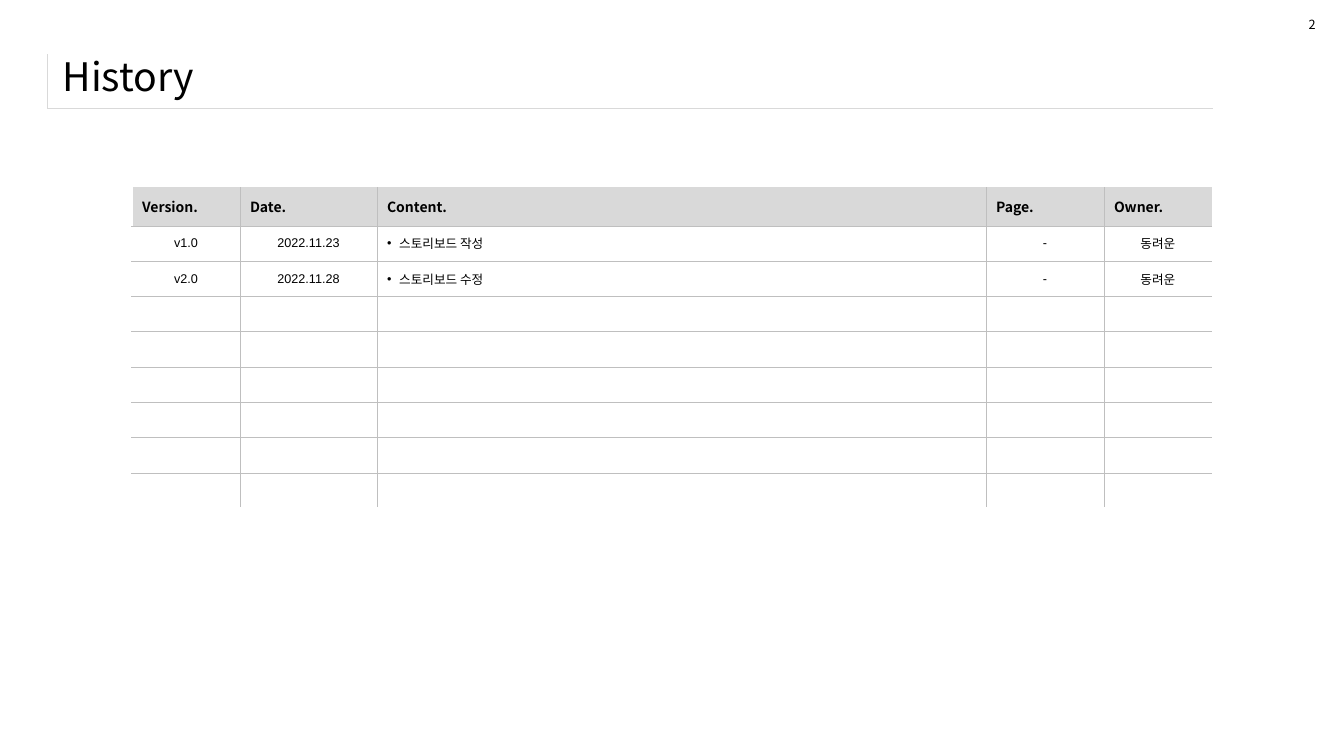
from lxml.etree import SubElement
from pptx import Presentation
from pptx.dml.color import RGBColor
from pptx.enum.text import MSO_ANCHOR, PP_ALIGN
from pptx.oxml.ns import qn
from pptx.util import Pt

PX = 9144  # EMU per px, at 100 px to the inch
THEME = {
    "ink": "000000", "header": "D9D9D9", "grid": "BFBFBF", "paper": "FFFFFF",
    "sans": "Noto Sans CJK KR", "latin": "Arial",
    "title": 28, "heading": 10, "body": 9,
}
HAIRLINE = (THEME["grid"], 0.25)
FRAME_LINE = (THEME["header"], 0.25)
BLANK_LINE = (THEME["paper"], 1)


def style_text(paragraph, size, font, bold=False):
    for run in paragraph.runs:
        run.font.size = Pt(size)
        run.font.bold = bold
        run.font.name = font
        run.font.color.rgb = RGBColor.from_string(THEME["ink"])
        SubElement(run.font._element, qn("a:ea"), typeface=font)
    if not paragraph.runs:
        SubElement(paragraph._p, qn("a:endParaRPr"), sz=str(size * 100))


def style_cell(cell, left=None, right=None, top=None, bottom=None, fill=None):
    properties = cell._tc.get_or_add_tcPr()
    for tag, border in (("lnL", left), ("lnR", right), ("lnT", top), ("lnB", bottom)):
        line = SubElement(properties, qn(f"a:{tag}"))
        if border:
            color, width = border
            line.set("w", str(Pt(width)))
            solid = SubElement(line, qn("a:solidFill"))
            SubElement(solid, qn("a:srgbClr"), val=color)
        else:
            SubElement(line, qn("a:noFill"))
    if fill:
        cell.fill.solid()
        cell.fill.fore_color.rgb = RGBColor.from_string(fill)
    else:
        cell.fill.background()
    cell.vertical_anchor = MSO_ANCHOR.MIDDLE


presentation = Presentation()
presentation.slide_width = 1333 * PX
presentation.slide_height = 750 * PX
slide = presentation.slides.add_slide(presentation.slide_layouts[5])

# Title frame: a one-cell table with left and bottom rules
frame = slide.shapes.add_table(1, 1, 47 * PX, 54 * PX, 1156 * PX, 53 * PX).table
frame.first_row = frame.horz_banding = False
style_cell(frame.cell(0, 0), left=FRAME_LINE, bottom=FRAME_LINE)

# Title
title = slide.shapes.title
title.left, title.top, title.width, title.height = 52 * PX, 44 * PX, 1249 * PX, 63 * PX
title.text_frame.text = "History"
title.text_frame.vertical_anchor = MSO_ANCHOR.MIDDLE
title_paragraph = title.text_frame.paragraphs[0]
title_paragraph.alignment = PP_ALIGN.LEFT
style_text(title_paragraph, THEME["title"], THEME["sans"])

# Version history
column_widths = [107, 136, 604, 117, 107]
row_heights = [38] + [35] * 8
column_fonts = [THEME["latin"], THEME["latin"], THEME["sans"], THEME["latin"], THEME["sans"]]
content_column = 2
entries = [
    ["Version.", "Date.", "Content.", "Page.", "Owner."],
    ["v1.0", "2022.11.23", "스토리보드 작성", "-", "동려운"],
    ["v2.0", "2022.11.28", "스토리보드 수정", "-", "동려운"],
]
last_row, last_column = len(row_heights) - 1, len(column_widths) - 1
history = slide.shapes.add_table(
    len(row_heights), len(column_widths), 131 * PX, 186 * PX,
    sum(column_widths) * PX, sum(row_heights) * PX).table
history.first_row = history.horz_banding = False
for column, width in zip(history.columns, column_widths):
    column.width = width * PX
for row, height in zip(history.rows, row_heights):
    row.height = height * PX

for row_index in range(len(row_heights)):
    is_header = row_index == 0
    for column_index, font in enumerate(column_fonts):
        cell = history.cell(row_index, column_index)
        style_cell(
            cell,
            left=HAIRLINE if column_index else BLANK_LINE,
            right=HAIRLINE if column_index < last_column else None,
            top=None if is_header else HAIRLINE,
            bottom=HAIRLINE if row_index < last_row else BLANK_LINE,
            fill=THEME["header"] if is_header else None)
        paragraph = cell.text_frame.paragraphs[0]
        if row_index < len(entries):
            paragraph.text = entries[row_index][column_index]
        if is_header:
            style_text(paragraph, THEME["heading"], THEME["sans"], bold=True)
            continue
        style_text(paragraph, THEME["body"], font)
        if column_index != content_column:
            paragraph.alignment = PP_ALIGN.CENTER
        elif paragraph.runs:
            bullet = paragraph._p.get_or_add_pPr()
            bullet.set("marL", str(12 * PX))
            bullet.set("indent", str(-12 * PX))
            SubElement(bullet, qn("a:buFont"), typeface=THEME["latin"])
            SubElement(bullet, qn("a:buChar"), char="•")

# Page number
page_number = slide.shapes.add_textbox(1288 * PX, 12 * PX, 27 * PX, 25 * PX)
page_number.text_frame.word_wrap = False
page_number.text_frame.text = "2"
style_text(page_number.text_frame.paragraphs[0], THEME["body"], THEME["sans"])

presentation.save("out.pptx")
